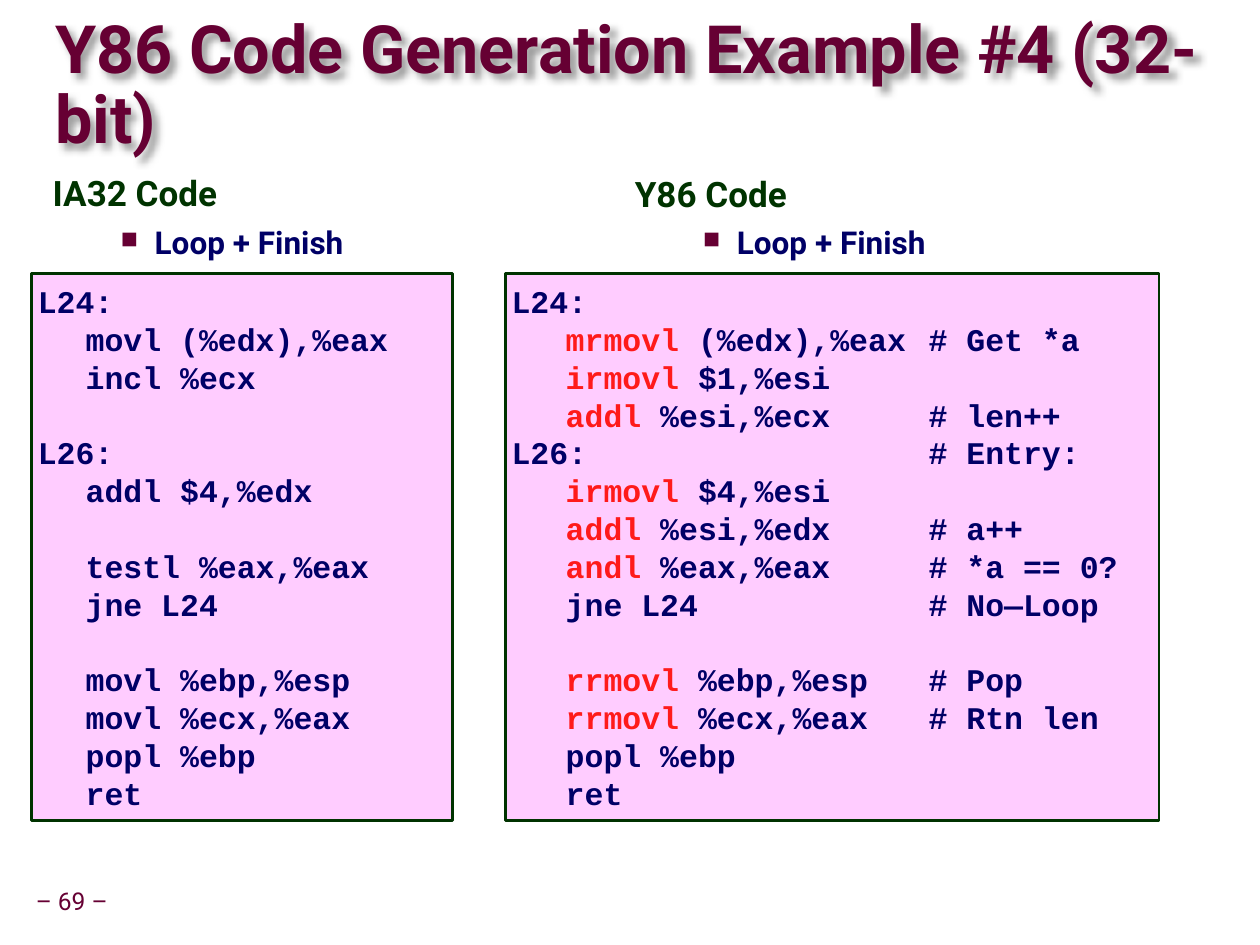
"""Build the Y86 code generation slide with two code panels."""
import pptx
import pptx.dml.color
import pptx.enum.shapes
import pptx.enum.text
import pptx.oxml
import pptx.oxml.ns
import pptx.util
from pptx.util import Inches

MAROON, GREEN, NAVY, RED, PINK = "660033", "003300", "000066", "FF1A1A", "FFCCFF"
NAMESPACE = pptx.oxml.ns.nsdecls("a")
ANCHOR = pptx.enum.text.MSO_ANCHOR
LINE_HEIGHT = pptx.util.Pt(21.6)


def color(value):
    return pptx.dml.color.RGBColor.from_string(value)


def style(target, size, fill, name="Roboto", bold=True):
    formats = {"size": pptx.util.Pt(size), "name": name, "bold": bold}
    for key, value in formats.items():
        setattr(target.font, key, value)
    target.font.color.rgb = color(fill)


presentation = pptx.Presentation()
presentation.slide_width, presentation.slide_height = Inches(10), Inches(7.5)
slide = presentation.slides.add_slide(presentation.slide_layouts[6])

labels = [
    ((0.23, 7, 0.68, 0.32), 0.05, 0.05, ANCHOR.MIDDLE, False,
     [("– 69 –", 14, MAROON, False, 0.9)]),
    ((0.44, 0.27, 9.53, 0.85), 0, 0, ANCHOR.MIDDLE, True,
     [("Y86 Code Generation Example #4 (32-bit)", 38, MAROON, True, 0.87)]),
]
for left, height, heading in [(0.32, 0.5, "IA32 Code"), (4.94, 5.71, "Y86 Code")]:
    labels.append(((left, 1.34, 4.46, height), 0.1, 0.05, ANCHOR.TOP, True,
                   [(heading, 20, GREEN, True, 0.95),
                    ("Loop + Finish", 18, NAVY, True, 0.95)]))

for box, side, edge, anchor, wrap, lines in labels:
    shape = slide.shapes.add_textbox(*map(Inches, box))
    frame = shape.text_frame
    formats = {"margin_left": Inches(side), "margin_right": Inches(side),
               "margin_top": Inches(edge), "margin_bottom": Inches(edge),
               "vertical_anchor": anchor, "word_wrap": wrap}
    for key, value in formats.items():
        setattr(frame, key, value)
    for index, (text, size, fill, bold, spacing) in enumerate(lines):
        paragraph = frame.paragraphs[0] if index == 0 else frame.add_paragraph()
        if index:
            properties = paragraph._p.get_or_add_pPr()
            properties.set("marL", str(Inches(0.81)))
            properties.set("indent", str(Inches(-0.27)))
            for bullet in (f'<a:buClr {NAMESPACE}><a:srgbClr val="{MAROON}"/></a:buClr>',
                           f'<a:buSzPct {NAMESPACE} val="75000"/>',
                           f'<a:buChar {NAMESPACE} char="■"/>'):
                properties.append(pptx.oxml.parse_xml(bullet))
            paragraph.level = 1
            paragraph.space_before = pptx.util.Pt(6)
        paragraph.line_spacing = spacing
        if not wrap:
            paragraph.alignment = pptx.enum.text.PP_ALIGN.CENTER
        run = paragraph.add_run()
        run.text = text
        style(run, size, fill, bold=bold)
    if lines[0][1] == 38:
        shape._element.spPr.append(pptx.oxml.parse_xml(
            f'<a:effectLst {NAMESPACE}><a:outerShdw blurRad="50800" dist="50800" '
            'dir="2700000" algn="tl" rotWithShape="0"><a:srgbClr val="000000">'
            '<a:alpha val="40000"/></a:srgbClr></a:outerShdw></a:effectLst>'))

ia32_code = """L24:
\tmovl (%edx),%eax
\tincl %ecx

L26:
\taddl $4,%edx

\ttestl %eax,%eax
\tjne L24

\tmovl %ebp,%esp
\tmovl %ecx,%eax
\tpopl %ebp
\tret"""
y86_code = """L24:
\tmrmovl (%edx),%eax\t# Get *a
\tirmovl $1,%esi
\taddl %esi,%ecx\t# len++
L26:\t# Entry:
\tirmovl $4,%esi
\taddl %esi,%edx\t# a++
\tandl %eax,%eax\t# *a == 0?
\tjne L24\t# No—Loop

\trrmovl %ebp,%esp\t# Pop
\trrmovl %ecx,%eax\t# Rtn len
\tpopl %ebp
\tret"""
panels = [
    (0.25, 3.34, [0.38], ia32_code, set()),
    (4.01, 5.19, [0.43, 3.31], y86_code,
     {"mrmovl", "irmovl", "addl", "andl", "rrmovl"}),
]

for left, width, tabs, code, highlighted in panels:
    shape = slide.shapes.add_shape(
        pptx.enum.shapes.MSO_SHAPE.RECTANGLE,
        Inches(left), Inches(2.17), Inches(width), Inches(4.34))
    shape.shadow.inherit = False
    shape.fill.solid()
    shape.fill.fore_color.rgb = color(PINK)
    shape.line.color.rgb = color(GREEN)
    shape.line.width = pptx.util.Pt(1.5)
    frame = shape.text_frame
    frame.word_wrap = True
    frame.vertical_anchor = ANCHOR.MIDDLE
    for side in ("left", "right", "top", "bottom"):
        setattr(frame, f"margin_{side}", Inches(0.05))
    stops = "".join(f'<a:tab pos="{Inches(tab)}" algn="l"/>' for tab in tabs)
    paragraph = frame.paragraphs[0]
    for group_index, group in enumerate(code.split("\n\n")):
        for line_index, line in enumerate(group.split("\n")):
            if group_index or line_index:
                paragraph = frame.add_paragraph()
            paragraph._p.get_or_add_pPr().append(
                pptx.oxml.parse_xml(f"<a:tabLst {NAMESPACE}>{stops}</a:tabLst>"))
            paragraph.alignment = pptx.enum.text.PP_ALIGN.LEFT
            paragraph.line_spacing = LINE_HEIGHT
            if group_index and line_index == 0:
                paragraph.space_before = LINE_HEIGHT
            opcode = line.split()[0]
            parts = line.partition(opcode) if opcode in highlighted else [line]
            for part in parts:
                run = paragraph.add_run()
                run.text = part
                style(run, 18, RED if part in highlighted else NAVY, "Courier New")

presentation.save("out.pptx")
